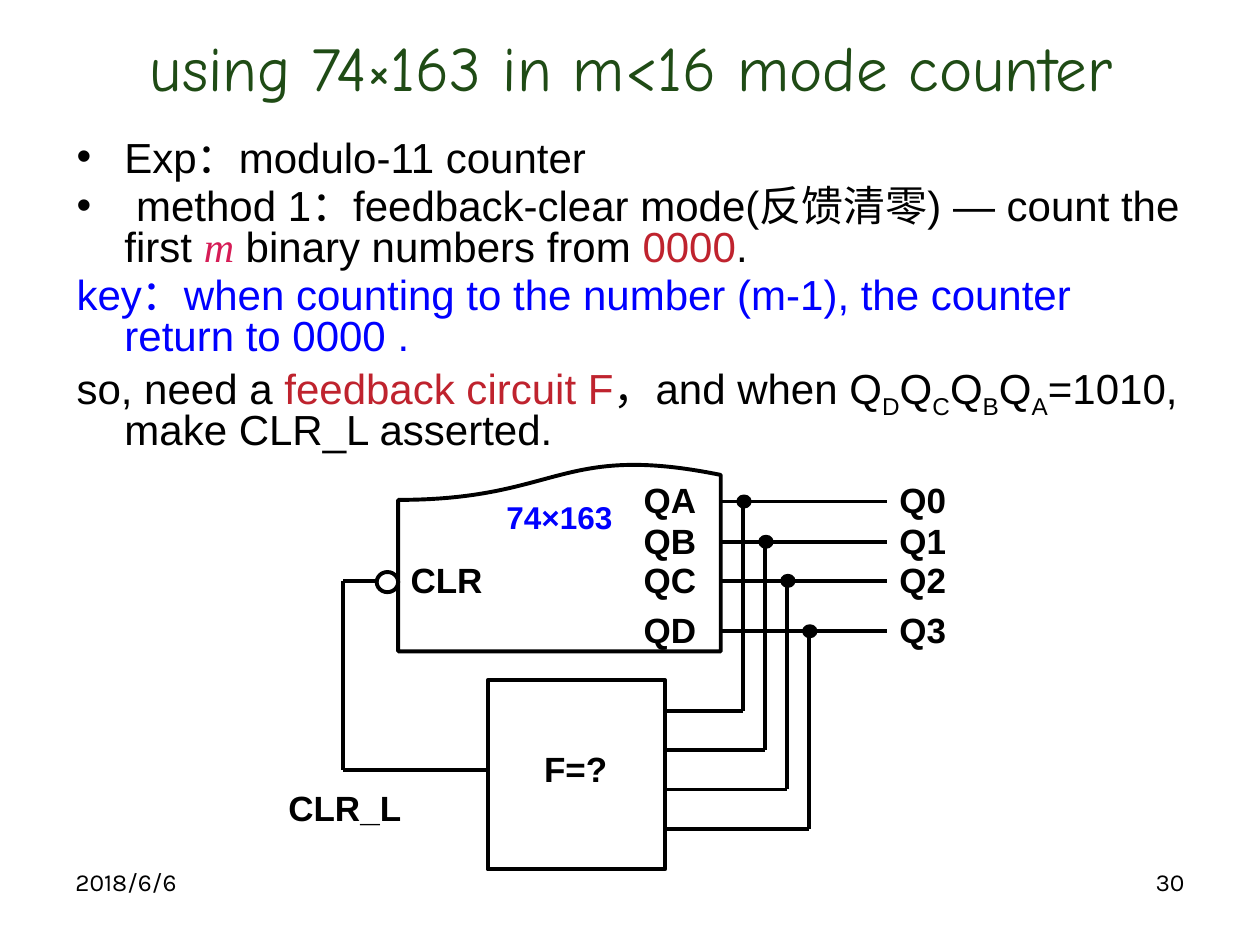
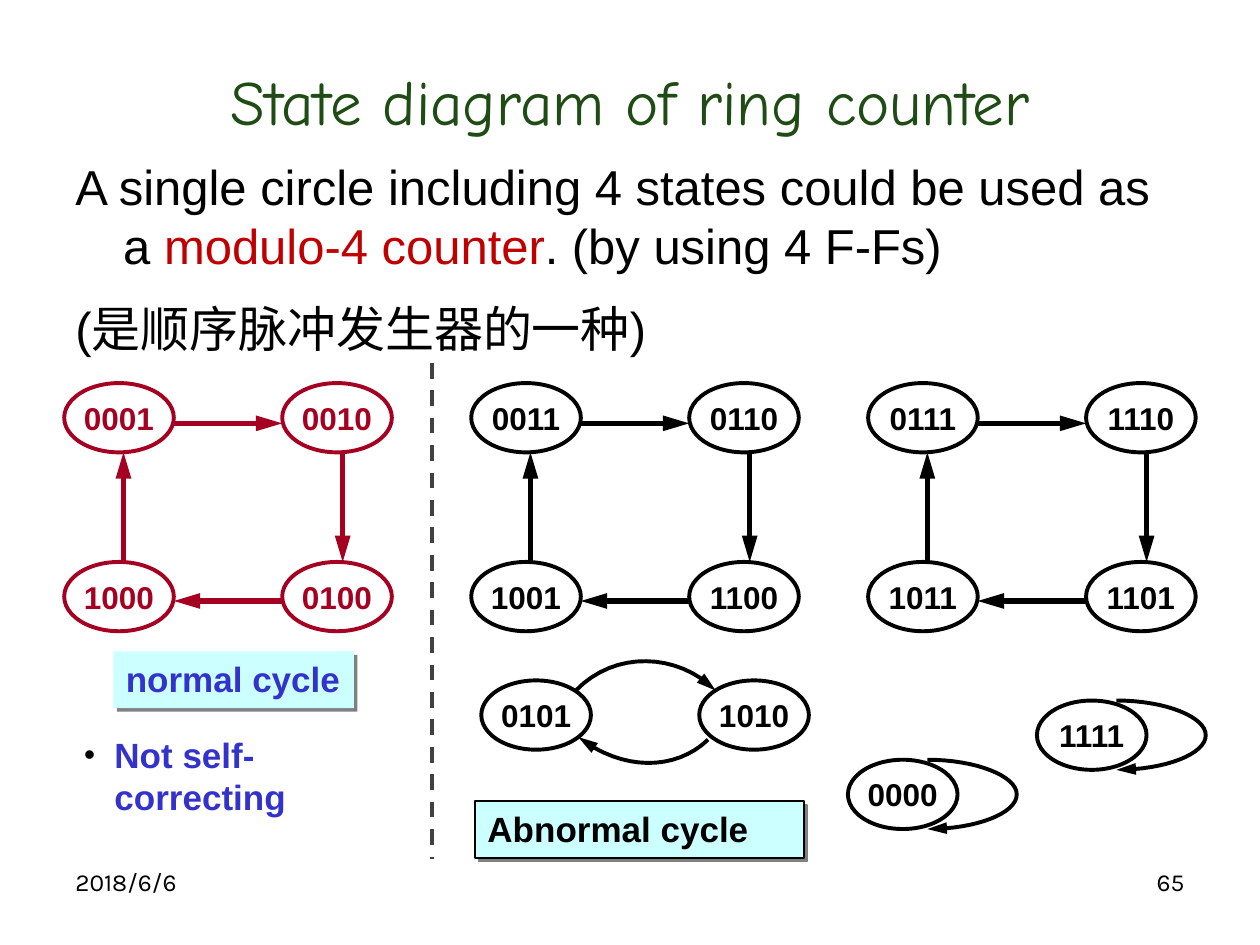
from pptx import Presentation
from pptx.dml.color import RGBColor
from pptx.enum.dml import MSO_LINE
from pptx.enum.shapes import MSO_CONNECTOR, MSO_SHAPE as SHAPE
from pptx.enum.text import MSO_ANCHOR as ANCHOR, PP_ALIGN as ALIGN
from pptx.oxml import parse_xml
from pptx.oxml.ns import nsdecls
from pptx.util import Inches, Pt

COLORS = {
    "black": "000000", "title": "1F4B15", "blue": "0000FF", "pink": "D61C56",
    "red": "BF232E", "dark_red": "C00000", "cycle_red": "A50021",
    "label_fill": "CCFFFF", "label_blue": "3333CC", "shadow": "808080", "divider": "404040",
}
ARIAL, SERIF, TITLE_FONT, FOOTER_FONT = "Arial", "Times New Roman", "Comic Neue", "Karla"
STATE_W, STATE_H = 0.87, 0.55


def rgb(name):
    return RGBColor.from_string(COLORS[name])


def xml(tag, attrs="", inner=""):
    return parse_xml(f"<a:{tag} {nsdecls('a')} {attrs}>{inner}</a:{tag}>")


def add_run(p, text, size, color="black", font=ARIAL, bold=False, italic=False, sub=False):
    r = p.add_run()
    r.text = text
    f = r.font
    f.size, f.name, f.bold, f.italic = Pt(size), font, bold, italic
    f.color.rgb = rgb(color)
    if sub:
        f._element.set("baseline", "-25000")


def hang(p, indent, bullet=False, bullet_size=100):
    pPr = p._p.get_or_add_pPr()
    pPr.set("marL", str(Inches(indent)))
    pPr.set("indent", str(-Inches(indent)))
    if bullet:
        pPr.append(xml("buClr", inner=f'<a:srgbClr val="{COLORS["black"]}"/>'))
        pPr.append(xml("buSzPct", f'val="{bullet_size * 1000}"'))
        pPr.append(xml("buFont", f'typeface="{ARIAL}"'))
        pPr.append(xml("buChar", 'char="•"'))
    else:
        pPr.append(xml("buNone"))


def add_box(s, x, y, w, h, anchor=ANCHOR.TOP):
    tf = s.shapes.add_textbox(Inches(x), Inches(y), Inches(w), Inches(h)).text_frame
    tf.word_wrap = True
    tf.vertical_anchor = anchor
    return tf


def add_label(s, x, y, w, text, h=0.43, size=20, align=ALIGN.LEFT, anchor=ANCHOR.TOP,
              **style):
    p = add_box(s, x, y, w, h, anchor).paragraphs[0]
    p.alignment = align
    add_run(p, text, size, **style)


def add_body(s, x, y, w, h, paragraphs, size, space, spacing=None):
    tf = add_box(s, x, y, w, h)
    for i, (bullet, runs) in enumerate(paragraphs):
        p = tf.add_paragraph() if i else tf.paragraphs[0]
        if spacing:
            p.line_spacing = spacing
        if i:
            p.space_before = Pt(space)
        hang(p, 0.38, bullet)
        for text, style in runs:
            add_run(p, text, size, **style)


def style_line(line, color, width):
    line.color.rgb = rgb(color)
    line.width = Pt(width)


def add_arrowhead(line):
    line._get_or_add_ln().append(xml("tailEnd", 'type="triangle" w="med" len="lg"'))


def add_outline(s, kind, x, y, w, h, color="black", fill=None, width=2.25):
    sp = s.shapes.add_shape(kind, Inches(x), Inches(y), Inches(w), Inches(h))
    sp.shadow.inherit = False
    if fill:
        sp.fill.solid()
        sp.fill.fore_color.rgb = rgb(fill)
    else:
        sp.fill.background()
    if color:
        style_line(sp.line, color, width)
    else:
        sp.line.fill.background()
    return sp


def add_line(s, start, end, color="black", width=2.25, arrow=False):
    ends = [Inches(v) for v in (*start, *end)]
    c = s.shapes.add_connector(MSO_CONNECTOR.STRAIGHT, *ends)
    style_line(c.line, color, width)
    if arrow:
        add_arrowhead(c.line)
    c._element.spPr.append(xml("effectLst"))
    return c


def add_curve(s, start, *beziers):
    points, p0 = [], start
    for p1, p2, p3 in beziers:
        for step in range(1, 17):
            t = step / 16
            u = 1 - t
            points.append(tuple(
                Inches(u**3 * a + 3 * u * u * t * b + 3 * u * t * t * c + t**3 * d)
                for a, b, c, d in zip(p0, p1, p2, p3)))
        p0 = p3
    builder = s.shapes.build_freeform(Inches(start[0]), Inches(start[1]))
    builder.add_line_segments(points, close=False)
    sp = builder.convert_to_shape()
    sp.shadow.inherit = False
    sp.fill.background()
    style_line(sp.line, "black", 2.25)
    add_arrowhead(sp.line)


def add_state(s, x, y, code, color="black"):
    tf = add_outline(s, SHAPE.OVAL, x, y, STATE_W, STATE_H, color).text_frame
    tf.word_wrap = False
    tf.vertical_anchor = ANCHOR.MIDDLE
    p = tf.paragraphs[0]
    p.alignment = ALIGN.CENTER
    add_run(p, code, 18, color, bold=True)


def add_cycle(s, x, codes, color="black"):
    top, bottom, right = 3.04, 4.46, x + 1.73
    corners = [(x, top), (right, top), (right, bottom), (x, bottom)]
    for (cx, cy), code in zip(corners, codes):
        add_state(s, cx, cy, code, color)
    inner = x + STATE_W
    under = top + STATE_H
    arrows = [
        ((inner, top + 0.32), (right, top + 0.32)),
        ((right + 0.48, under), (right + 0.48, bottom)),
        ((right, bottom + 0.31), (inner, bottom + 0.31)),
        ((x + 0.47, bottom), (x + 0.47, under)),
    ]
    for start, end in arrows:
        add_line(s, start, end, color, 3, arrow=True)


def add_self_loop(s, x, y, code):
    add_state(s, x, y, code)
    left, right, mid, low = x + 0.63, x + 1.34, y + STATE_H / 2, y + STATE_H
    add_curve(s, (left, y),
              ((left + 0.39, y), (right, y + 0.13), (right, mid)),
              ((right, mid + 0.15), (left + 0.39, low), (left, low)))


def add_caption(s, x, y, w, text, color, border=None):
    sp = add_outline(s, SHAPE.RECTANGLE, x, y, w, 0.45, border, "label_fill", 1)
    effects = sp._element.spPr.find(xml("effectLst").tag)
    effects.append(xml("outerShdw", f'dist="{Pt(2.8)}" dir="2700000" algn="ctr" rotWithShape="0"',
                       f'<a:srgbClr val="{COLORS["shadow"]}"/>'))
    tf = sp.text_frame
    tf.vertical_anchor = ANCHOR.TOP
    p = tf.paragraphs[0]
    p.alignment = ALIGN.LEFT
    add_run(p, text, 20, color, bold=True)


def new_slide(prs, title, x, y, h, number):
    s = prs.slides.add_slide(prs.slide_layouts[6])
    add_label(s, 0.5, 6.83, 2.33, "2018/6/6", 0.52, 14, font=FOOTER_FONT)
    add_label(s, 7.17, 6.83, 2.33, number, 0.52, 14, ALIGN.RIGHT, font=FOOTER_FONT)
    add_label(s, x, y, 9, title, h, 36, ALIGN.CENTER, ANCHOR.MIDDLE,
              color="title", font=TITLE_FONT)
    return s


def add_counter_circuit(s):
    add_outline(s, SHAPE.FLOWCHART_DOCUMENT, 3.16, 3.67, 2.56, 1.5).rotation = 180
    add_outline(s, SHAPE.RECTANGLE, 3.87, 5.4, 1.41, 1.5)
    add_label(s, 3.64, 3.9, 1.6, "74×163", 0.4, 18, ALIGN.CENTER, color="blue", bold=True)
    for x, y, w, text in [(3.16, 4.38, 0.88, "CLR"), (4.22, 5.88, 0.79, "F=?"),
                          (2.19, 6.19, 1.5, "CLR_L")]:
        add_label(s, x, y, w, text, bold=True)

    for i, output_y in enumerate([3.98, 4.3, 4.61, 5.01]):
        tap_x = 5.9 + 0.174 * i
        feedback_y = 5.64 + 0.313 * i
        add_label(s, 5.01, output_y - 0.23, 0.79, "Q" + "ABCD"[i], bold=True)
        add_label(s, 7.04, output_y - 0.23, 0.79, f"Q{i}", bold=True)
        add_line(s, (5.72, output_y), (7.04, output_y))
        add_line(s, (tap_x, output_y), (tap_x, feedback_y))
        add_line(s, (5.28, feedback_y), (tap_x, feedback_y))
        add_outline(s, SHAPE.OVAL, tap_x - 0.04, output_y - 0.04, 0.09, 0.08, fill="black")

    add_outline(s, SHAPE.OVAL, 2.99, 4.54, 0.17, 0.16)
    clear_path = [(2.99, 4.61), (2.72, 4.61), (2.72, 6.11), (3.87, 6.11)]
    for start, end in zip(clear_path, clear_path[1:]):
        add_line(s, start, end)


def build_modulo_slide(prs):
    s = new_slide(prs, "using 74×163 in m<16 mode counter", 0.51, 0.21, 0.63, "30")
    red, blue = {"color": "red"}, {"color": "blue"}
    outputs = [run for bit in "DCBA" for run in (("Q", {}), (bit, {"sub": True}))]
    add_body(s, 0.51, 1.07, 9, 2.76, [
        (True, [("Exp：modulo-11 counter", {})]),
        (True, [(" method 1：feedback-clear mode(反馈清零) — count the first ", {}),
                ("m", {"color": "pink", "font": SERIF, "italic": True}),
                (" binary numbers from ", {}), ("0000", red), (".", {})]),
        (False, [("key：when counting to the number (m-1), the counter return to 0000 .",
                  blue)]),
        (False, [("so, need a ", {}), ("feedback circuit F", red), ("，and when ", {}),
                 *outputs, ("=1010, make CLR_L asserted.", {})]),
    ], 24, 4.8, 0.8)
    add_counter_circuit(s)


def build_ring_slide(prs):
    s = new_slide(prs, "State diagram of ring counter", 0.5, 0.3, 0.99, "65")
    add_body(s, 0.5, 1.19, 9, 1.89, [
        (False, [("A single circle including 4 states could be used as a ", {}),
                 ("modulo-4 counter", {"color": "dark_red"}),
                 (". (by using 4 F-Fs)", {})]),
        (False, [("(是顺序脉冲发生器的一种)", {})]),
    ], 28, 14)

    add_cycle(s, 0.51, ["0001", "0010", "0100", "1000"], "cycle_red")
    add_cycle(s, 3.74, ["0011", "0110", "1100", "1001"])
    add_cycle(s, 6.89, ["0111", "1110", "1101", "1011"])

    add_state(s, 3.82, 5.4, "0101")
    add_state(s, 5.55, 5.4, "1010")
    add_curve(s, (4.57, 5.48), ((4.88, 5.16), (5.38, 5.18), (5.68, 5.48)))
    add_curve(s, (5.62, 5.87), ((5.36, 6.12), (4.94, 6.12), (4.59, 5.85)))
    add_self_loop(s, 6.73, 6.03, "0000")
    add_self_loop(s, 8.23, 5.56, "1111")

    add_line(s, (3.43, 2.88), (3.43, 6.82), "divider").line.dash_style = MSO_LINE.DASH
    add_caption(s, 0.9, 5.17, 1.91, "normal cycle", "label_blue")
    add_caption(s, 3.77, 6.36, 2.61, "Abnormal cycle", "black", border="black")
    p = add_box(s, 0.57, 5.77, 2.76, 0.8).paragraphs[0]
    hang(p, 0.24, bullet=True, bullet_size=90)
    add_run(p, "Not self-correcting", 20, "label_blue", bold=True)


def main():
    prs = Presentation()
    prs.slide_width, prs.slide_height = Inches(10), Inches(7.5)
    build_modulo_slide(prs)
    build_ring_slide(prs)
    prs.save("out.pptx")


if __name__ == "__main__":
    main()
